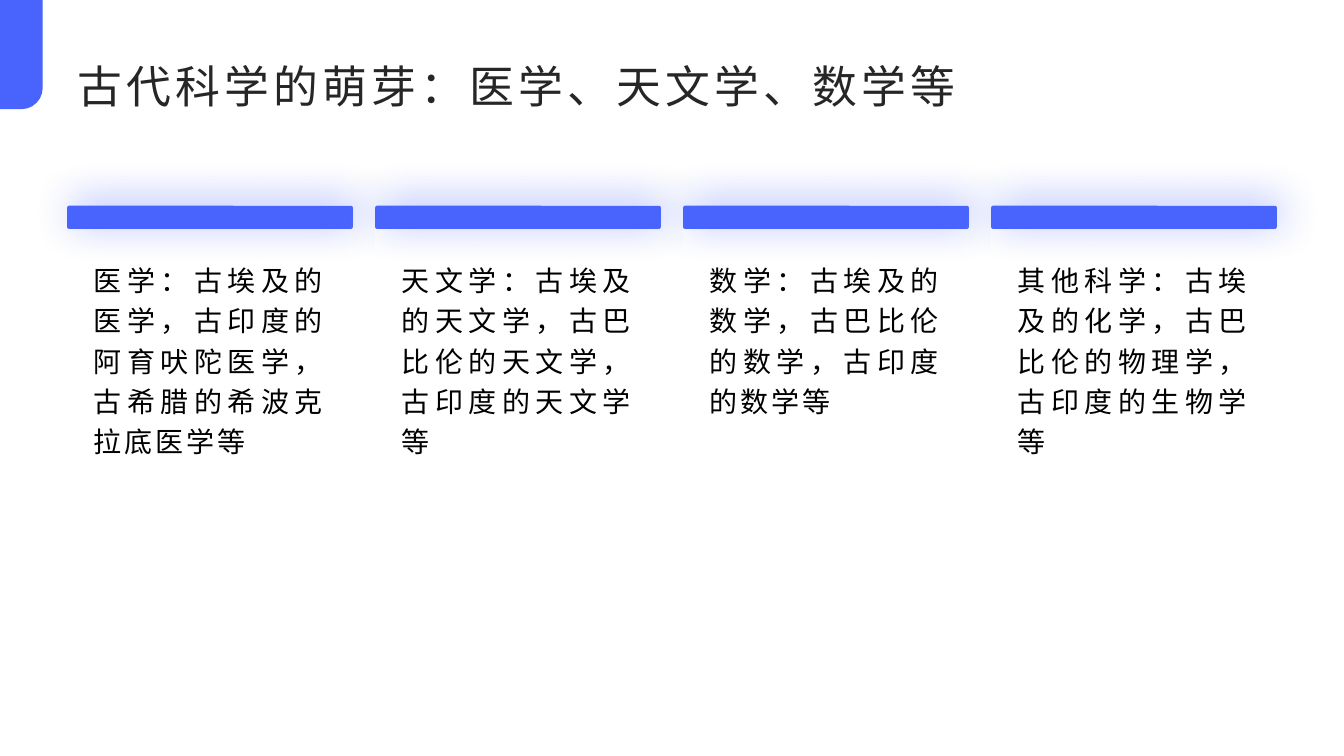
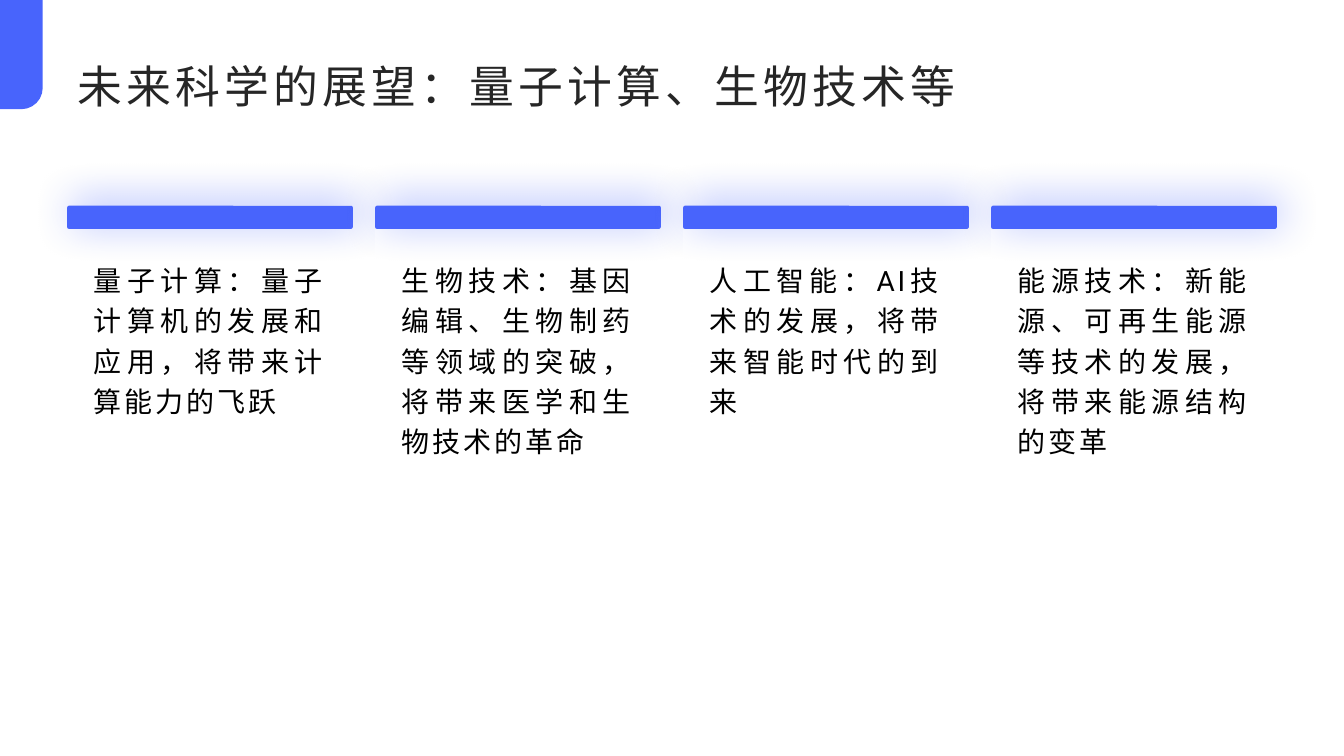
from lxml.etree import SubElement
from pptx import Presentation
from pptx.dml.color import RGBColor
from pptx.enum.shapes import MSO_SHAPE as SHAPE
from pptx.enum.text import MSO_ANCHOR as ANCHOR, MSO_AUTO_SIZE as AUTO, PP_ALIGN as ALIGN
from pptx.oxml.ns import qn
from pptx.util import Pt

COLORS = {"accent": "4864FC", "title": "262626", "body": "000000", "card": "FFFFFF"}
TITLE_FONT, BODY_FONT = "Lato", "Roboto"
LEFT, TOP, PITCH = 48, 147, 220
CARD_W, CARD_H, BAR_H = 204, 315.5, 16.5
TEXT_INSET, TEXT_TOP, TEXT_W, TEXT_H = 12, 180, 179.5, 268

SLIDES = [
    ("古代科学的萌芽：医学、天文学、数学等", [
        "医学：古埃及的医学，古印度的阿育吠陀医学，古希腊的希波克拉底医学等",
        "天文学：古埃及的天文学，古巴比伦的天文学，古印度的天文学等",
        "数学：古埃及的数学，古巴比伦的数学，古印度的数学等",
        "其他科学：古埃及的化学，古巴比伦的物理学，古印度的生物学等",
    ]),
    ("未来科学的展望：量子计算、生物技术等", [
        "量子计算：量子计算机的发展和应用，将带来计算能力的飞跃",
        "生物技术：基因编辑、生物制药等领域的突破，将带来医学和生物技术的革命",
        "人工智能：AI技术的发展，将带来智能时代的到来",
        "能源技术：新能源、可再生能源等技术的发展，将带来能源结构的变革",
    ]),
]


def rgb(name):
    return RGBColor.from_string(COLORS[name])


def add_block(slide, kind, x, y, w, h, color, adj):
    sp = slide.shapes.add_shape(kind, Pt(x), Pt(y), Pt(w), Pt(h))
    sp.adjustments[0] = adj
    sp.fill.solid()
    sp.fill.fore_color.rgb = rgb(color)
    sp.line.fill.background()
    sp.shadow.inherit = False
    return sp


def add_shadow(sp, color, opacity, blur, dist, angle):
    effects = sp.element.spPr.find(qn("a:effectLst"))
    shadow = SubElement(effects, qn("a:outerShdw"), blurRad=str(Pt(blur)),
                        dist=str(Pt(dist)), dir=str(angle * 60000), rotWithShape="0")
    tint = SubElement(shadow, qn("a:srgbClr"), val=COLORS[color])
    SubElement(tint, qn("a:alpha"), val=str(opacity * 1000))


def write(tf, text, font, size, color, spacing, align):
    tf.word_wrap = True
    tf.auto_size = AUTO.NONE
    p = tf.paragraphs[0]
    p.alignment = align
    p.font.name, p.font.size = font, Pt(size)
    p.font.color.rgb = rgb(color)
    r = p.add_run()
    r.text = text
    r._r.get_or_add_rPr().set("spc", str(spacing * 100))
    return p


def style_layout(prs, layout):
    title = layout.placeholders[0]
    title.left, title.top, title.width, title.height = Pt(LEFT), Pt(31), Pt(864), Pt(53)
    title.text_frame.vertical_anchor = ANCHOR.BOTTOM
    tab = add_block(prs.slides[0], SHAPE.ROUND_1_RECTANGLE,
                    -23.75, 23.75, 78, 30.5, "accent", 0.5)
    tab.rotation = 90
    layout.shapes.element.insert(2, tab.element)


def add_column(slide, x, text):
    card = add_block(slide, SHAPE.ROUNDED_RECTANGLE, x, TOP, CARD_W, CARD_H, "card", 0)
    add_shadow(card, "card", 40, 22, 9, 106)
    bar = add_block(slide, SHAPE.ROUNDED_RECTANGLE, x, TOP, CARD_W, BAR_H, "accent", 0.08)
    add_shadow(bar, "accent", 45, 30, 5, 315)
    box = slide.shapes.add_textbox(Pt(x + TEXT_INSET), Pt(TEXT_TOP), Pt(TEXT_W), Pt(TEXT_H))
    p = write(box.text_frame, text, BODY_FONT, 20, "body", 2, ALIGN.JUSTIFY)
    p.line_spacing = 1.2


def add_slide(prs, layout, title, columns):
    slide = prs.slides.add_slide(layout)
    write(slide.shapes.title.text_frame, title, TITLE_FONT, 32, "title", 3, ALIGN.LEFT)
    for i, text in enumerate(columns):
        add_column(slide, LEFT + i * PITCH, text)


def main():
    prs = Presentation()
    prs.slide_width, prs.slide_height = Pt(960), Pt(540)
    layout = prs.slide_layouts[5]
    for title, columns in SLIDES:
        add_slide(prs, layout, title, columns)
    style_layout(prs, layout)
    prs.save("out.pptx")


main()
